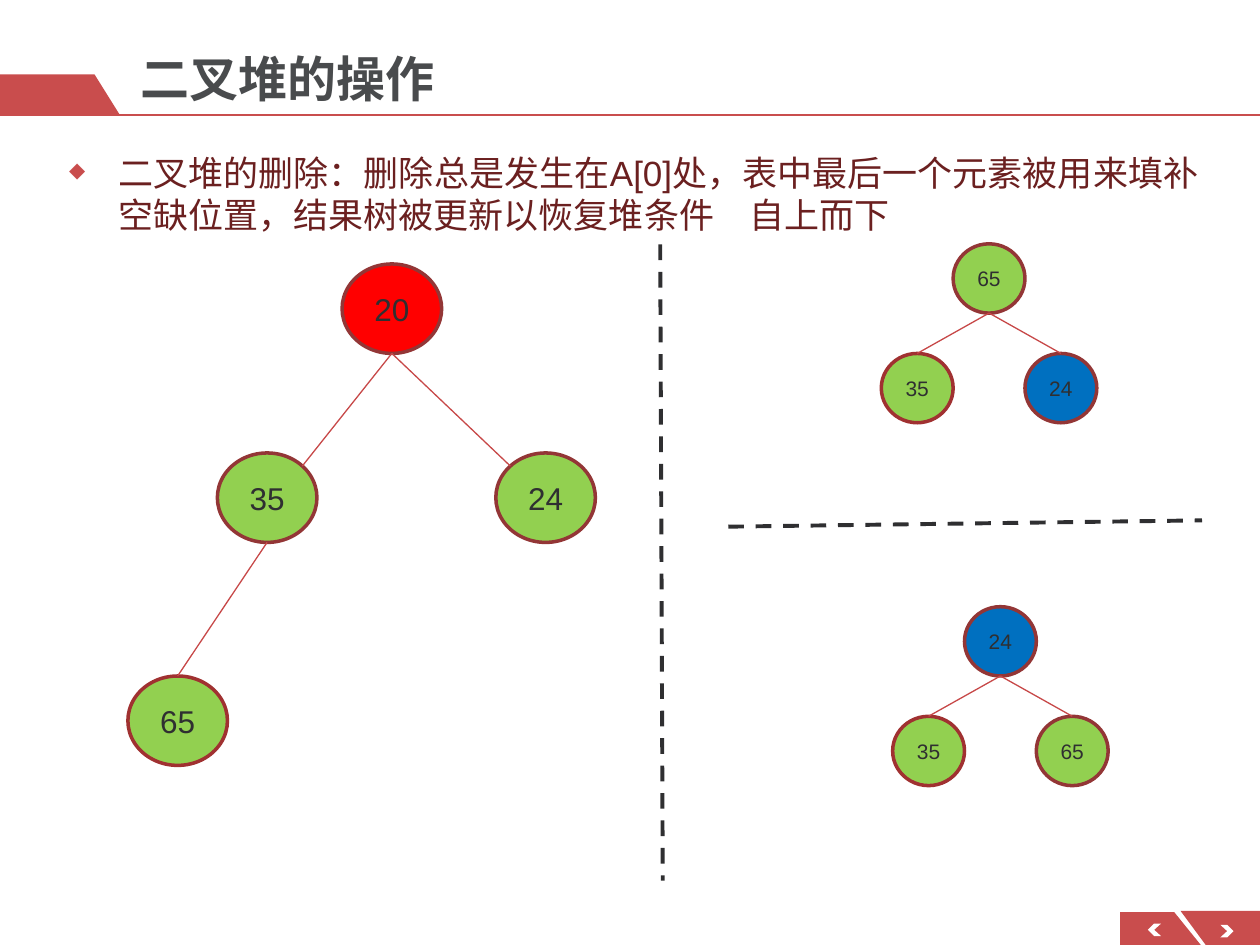
from math import cos, radians, sin

from lxml.etree import SubElement
from pptx import Presentation
from pptx.dml.color import RGBColor
from pptx.enum.dml import MSO_LINE_DASH_STYLE as Dash
from pptx.enum.shapes import MSO_CONNECTOR as Connector, MSO_SHAPE as Shape
from pptx.enum.text import MSO_ANCHOR as Anchor, PP_ALIGN as Align
from pptx.oxml.ns import qn
from pptx.util import Inches, Pt

FONT = "Arial"
COLUMNS, ROWS = 100, 75
CELL = Inches(10) // COLUMNS
COLORS = {
    "banner": "C94D4D", "white": "FFFFFF", "title": "494B4D",
    "body": "6B2020", "ink": "2F2F31", "edge": "C74848",
    "rim": "933636", "leaf_rim": "A03131",
    "green": "92D050", "red": "FF0000", "blue": "0070C0",
}
# Angles, clockwise from the right, where an edge meets a node
TOP, TOP_LEFT, TOP_RIGHT, BOTTOM = 270, 225, 315, 90


def cells(*counts):
    return [round(count * CELL) for count in counts]


def color(name):
    return RGBColor.from_string(COLORS[name])


def add_polygon(page, points, fill):
    start, *others = [cells(*point) for point in points]
    builder = page.shapes.build_freeform(*start, scale=1.0)
    builder.add_line_segments(others, close=True)
    shape = builder.convert_to_shape()
    shape.shadow.inherit = False
    shape.fill.solid()
    shape.fill.fore_color.rgb = color(fill)
    shape.line.fill.background()


def add_chevron(page, tip, middle, direction):
    """Draw an arrow mark whose tip points along direction (-1 left, 1 right)."""
    back, notch = tip - direction * 1.05, tip - direction * 0.5
    points = [(back, middle - 0.5), (notch, middle - 0.5), (tip, middle),
              (notch, middle + 0.5), (back, middle + 0.5), (notch, middle)]
    add_polygon(page, points, "white")


def add_line(page, start, end, stroke, width, dash=None):
    line = page.shapes.add_connector(Connector.STRAIGHT, *cells(*start, *end))
    line.line.color.rgb = color(stroke)
    line.line.width = Pt(width)
    if dash:
        line.line.dash_style = dash
    SubElement(line._element.spPr, qn("a:effectLst"))


def style_font(para, size, name, bold=False):
    font = para.font
    font.name, font.size, font.bold = FONT, Pt(size), bold
    font.color.rgb = color(name)


def add_text(page, area, text, anchor):
    frame = page.shapes.add_textbox(*cells(*area)).text_frame
    frame.word_wrap = True
    frame.vertical_anchor = anchor
    para = frame.paragraphs[0]
    para.text = text
    return para


def add_bullet(para, indent):
    props = para._p.get_or_add_pPr()
    props.set("marL", str(indent))
    props.set("indent", str(-indent))
    tint = SubElement(props, qn("a:buClr"))
    SubElement(tint, qn("a:srgbClr"), val=COLORS["banner"])
    SubElement(props, qn("a:buSzPct"), val="60000")
    SubElement(props, qn("a:buChar"), char="◆")


def add_node(page, center, size, label, fill, rim, font_size):
    (x, y), (width, height) = center, size
    node = page.shapes.add_shape(
        Shape.OVAL, *cells(x - width / 2, y - height / 2, width, height))
    node.shadow.inherit = False
    node.fill.solid()
    node.fill.fore_color.rgb = color(fill)
    node.line.color.rgb = color(rim)
    node.line.width = Pt(2)
    frame = node.text_frame
    frame.vertical_anchor = Anchor.MIDDLE
    para = frame.paragraphs[0]
    para.text = label
    para.alignment = Align.CENTER
    style_font(para, font_size, "ink")


def rim_point(center, size, angle):
    turn = radians(angle)
    return (center[0] + size[0] / 2 * cos(turn),
            center[1] + size[1] / 2 * sin(turn))


def add_tree(page, nodes, edges, size, font_size):
    """Nodes are (center, label, fill, rim); edges (parent, child, angle)."""
    for center, label, fill, rim in nodes:
        add_node(page, center, size, label, fill, rim, font_size)
    for parent, child, angle in edges:
        add_line(page, rim_point(nodes[parent][0], size, BOTTOM),
                 rim_point(nodes[child][0], size, angle), "edge", 0.75)


def add_small_tree(page, x, y, root, left, right):
    """Place a three-node heap with its root at x, y."""
    spread, drop = 5.7, 8.7
    nodes = [((x, y), *root, "rim"),
             ((x - spread, y + drop), *left, "leaf_rim"),
             ((x + spread, y + drop), *right, "rim")]
    add_tree(page, nodes, [(0, 1, TOP), (0, 2, TOP)], (5.7, 5.5), 12)


def add_frame(page):
    add_polygon(page, [(0, 5.9), (7.5, 5.9), (9.5, 9.1), (0, 9.1)], "banner")
    add_polygon(page, [(88.9, 72.4), (93.2, 72.4), (95.3, 75), (88.9, 75)],
                "banner")
    add_chevron(page, 91.1, 73.8, -1)
    add_polygon(page, [(COLUMNS, ROWS), (95.7, ROWS), (93.7, 72.3),
                       (COLUMNS, 72.3)], "banner")
    add_chevron(page, 97.9, 73.9, 1)
    add_line(page, (0, 9.1), (COLUMNS, 9.1), "banner", 1)


def main():
    deck = Presentation()
    deck.slide_width, deck.slide_height = cells(COLUMNS, ROWS)
    page = deck.slides.add_slide(deck.slide_layouts[6])
    add_frame(page)

    title = add_text(page, (10.2, 2.1, 75.9, 7), "二叉堆的操作", Anchor.BOTTOM)
    title.line_spacing = 0.9
    style_font(title, 28, "title", bold=True)

    body = add_text(
        page, (4.5, 11.5, 91.6, 56.1),
        "二叉堆的删除：删除总是发生在A[0]处，表中最后一个元素被用来填补空缺位置，"
        "结果树被更新以恢复堆条件　自上而下", Anchor.TOP)
    body.alignment = Align.JUSTIFY
    add_bullet(body, Inches(0.39))
    style_font(body, 20, "body")

    heap = [((31.1, 24.5), "20", "red", "rim"),
            ((21.2, 39.5), "35", "green", "rim"),
            ((43.3, 39.5), "24", "green", "rim"),
            ((14.1, 57.2), "65", "green", "leaf_rim")]
    links = [(0, 1, TOP_RIGHT), (0, 2, TOP_LEFT), (1, 3, TOP)]
    add_tree(page, heap, links, (7.9, 7.1), 18)

    low, mid, high = ("24", "blue"), ("35", "green"), ("65", "green")
    add_small_tree(page, 78.5, 22.1, high, mid, low)
    add_small_tree(page, 79.4, 50.9, low, mid, high)

    add_line(page, (57.8, 41.8), (95.4, 41.3), "ink", 2.25, Dash.DASH)
    add_line(page, (52.4, 19.4), (52.6, 69.9), "ink", 2.25, Dash.DASH)
    deck.save("out.pptx")


if __name__ == "__main__":
    main()
